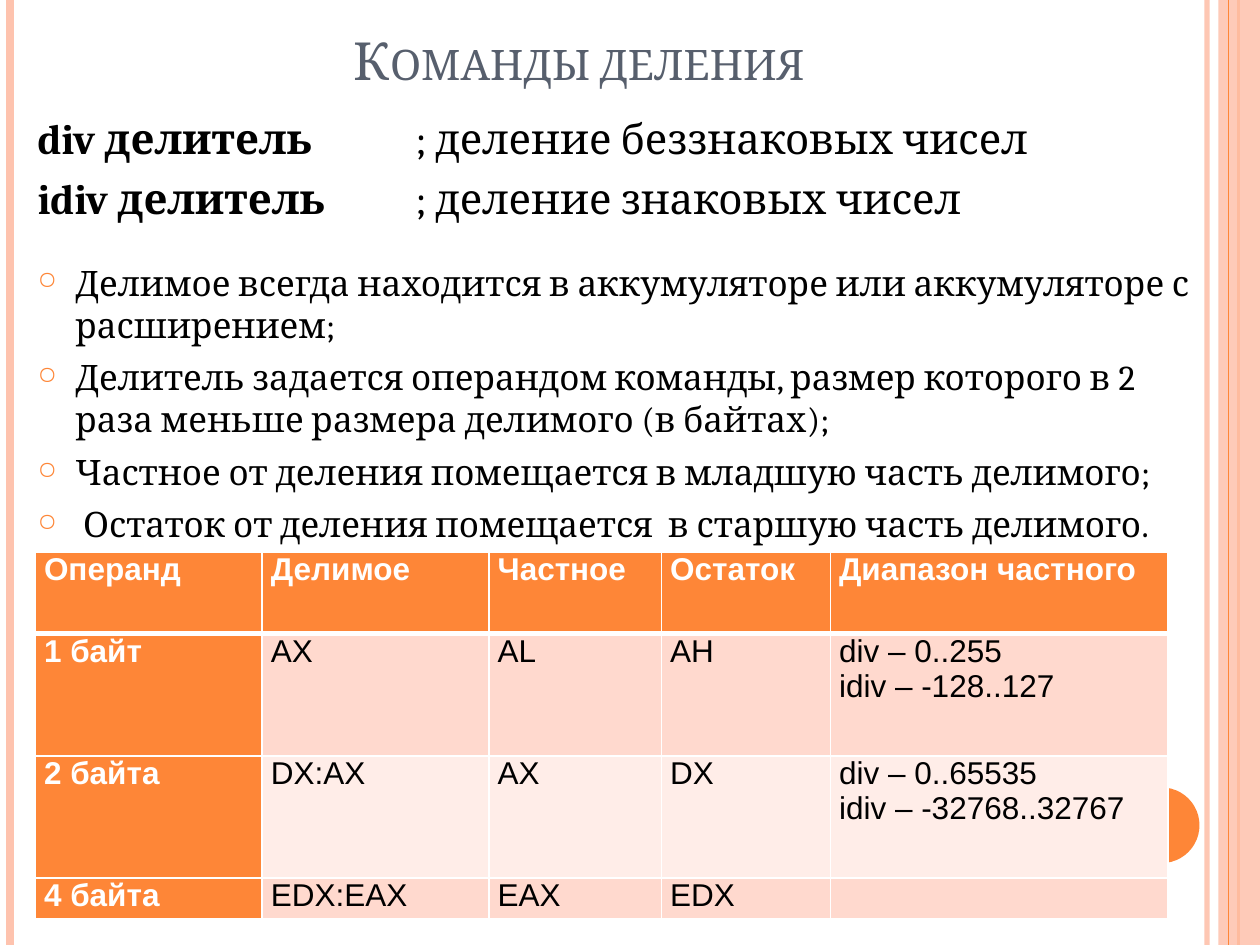
import pptx
import pptx.util
import pptx.dml.color
import pptx.enum.shapes
import pptx.enum.text
import pptx.oxml
import pptx.oxml.ns
from pptx.util import Inches

ACCENT, PALE, WHITE, BLACK = "FE8637", "FEC3AE", "FFFFFF", "000000"
SHAPES = pptx.enum.shapes.MSO_SHAPE
ALIGN = pptx.enum.text.PP_ALIGN


def color(value):
    """Turn a hex string into a colour."""
    return pptx.dml.color.RGBColor.from_string(value)


def add_xml(parent, tag, content="", **attributes):
    """Append a DrawingML element to a parent."""
    values = "".join(f' {name}="{value}"' for name, value in attributes.items())
    namespace = pptx.oxml.ns.nsdecls("a")
    parent.append(pptx.oxml.parse_xml(f"<a:{tag} {namespace}{values}>{content}</a:{tag}>"))


def set_opacity(properties, percent):
    """Make the solid colour inside an element translucent."""
    for srgb in properties.iter(pptx.oxml.ns.qn("a:srgbClr")):
        add_xml(srgb, "alpha", val=percent * 1000)


class SlideBuilder:
    """Hold the style and the current slide."""

    heading_font, table_font = "Cambria", "Arial"

    def __init__(self, slide):
        """Keep the slide to draw on."""
        self.slide = slide

    def stripe(self, x, width, line_color, opacity=100):
        """Draw a full-height vertical line."""
        line = self.slide.shapes.add_connector(
            pptx.enum.shapes.MSO_CONNECTOR.STRAIGHT,
            Inches(x), 0, Inches(x), Inches(7.5))
        line.line.color.rgb = color(line_color)
        line.line.width = pptx.util.Pt(width)
        if opacity < 100:
            set_opacity(line.line._ln, opacity)
        add_xml(line._element.spPr, "effectLst")

    def shape(self, kind, box, fill, opacity=100):
        """Draw a borderless filled shape."""
        shape = self.slide.shapes.add_shape(kind, *map(Inches, box))
        shape.shadow.inherit = False
        shape.fill.solid()
        shape.fill.fore_color.rgb = color(fill)
        shape.line.fill.background()
        if opacity < 100:
            set_opacity(shape._element.spPr, opacity)

    def text_frame(self, box, anchor):
        """Add an empty wrapping text box."""
        frame = self.slide.shapes.add_textbox(*map(Inches, box)).text_frame
        frame.word_wrap = True
        frame.vertical_anchor = anchor
        return frame

    def style(self, paragraph, name, size, text_color, bold=None):
        """Set the font of a paragraph."""
        font = paragraph.font
        font.name, font.size, font.bold = name, pptx.util.Pt(size), bold
        font.color.rgb = color(text_color)

    def title(self, box, text):
        """Add the centred small-caps title."""
        frame = self.text_frame(box, pptx.enum.text.MSO_ANCHOR.BOTTOM)
        heading = frame.paragraphs[0]
        heading.alignment = ALIGN.CENTER
        self.style(heading, self.heading_font, 30, "575F6D")
        heading._p.pPr.get_or_add_defRPr().set("cap", "small")
        heading.add_run().text = text

    def body(self, box, commands, rules):
        """Add command lines followed by bulleted rules."""
        frame = self.text_frame(box, pptx.enum.text.MSO_ANCHOR.TOP)
        for index, (command, remark) in enumerate(commands):
            line = frame.add_paragraph() if index else frame.paragraphs[0]
            line.space_before = pptx.util.Pt(6)
            add_xml(line._p.get_or_add_pPr(), "tabLst",
                    f'<a:tab pos="{Inches(3)}" algn="l"/>')
            self.style(line, self.heading_font, 24, BLACK)
            name = line.add_run()
            name.text, name.font.bold = command, True
            line.add_run().text = "\t" + remark
        for index, rule in enumerate(rules):
            bullet = frame.add_paragraph()
            bullet.space_before = pptx.util.Pt(6 if index else 21.6)
            properties = bullet._p.get_or_add_pPr()
            properties.set("marL", str(Inches(0.3)))
            properties.set("indent", str(Inches(-0.3)))
            add_xml(properties, "buClr", f'<a:srgbClr val="{ACCENT}"/>')
            add_xml(properties, "buSzPct", val=70000)
            add_xml(properties, "buChar", char="○")
            self.style(bullet, self.heading_font, 20, BLACK)
            bullet.add_run().text = rule

    def borders(self, cell, **widths):
        """Draw white borders of the given widths around a cell."""
        properties = cell._tc.get_or_add_tcPr()
        for position, side in enumerate("LRTB"):
            add_xml(properties, "ln" + side,
                    f'<a:solidFill><a:srgbClr val="{WHITE}"/></a:solidFill>',
                    w=pptx.util.Pt(widths.get(side, 1)))
            properties.insert(position, properties[-1])

    def table(self, box, widths, heights, rows):
        """Add a table with a header row, a header column and banded rows."""
        table = self.slide.shapes.add_table(
            len(rows), len(widths), *map(Inches, box)).table
        for column, width in zip(table.columns, widths):
            column.width = Inches(width)
        for row, height in zip(table.rows, heights):
            row.height = Inches(height)
        for r, values in enumerate(rows):
            for c, value in enumerate(values):
                cell = table.cell(r, c)
                header = r == 0 or c == 0
                cell.margin_left = cell.margin_right = Inches(0.07)
                cell.margin_top = cell.margin_bottom = 0
                cell.text = value
                for paragraph in cell.text_frame.paragraphs:
                    paragraph.alignment = ALIGN.JUSTIFY
                    self.style(paragraph, self.table_font, 18,
                               WHITE if header else BLACK, header)
                band = "FFD9CE" if r % 2 else "FFEDE8"
                cell.fill.solid()
                cell.fill.fore_color.rgb = color(ACCENT if header else band)
                self.borders(cell, T=3 if r == 1 else 1, B=3 if r == 0 else 1)


deck = pptx.Presentation()
deck.slide_width, deck.slide_height = Inches(10), Inches(7.5)
builder = SlideBuilder(deck.slides.add_slide(deck.slide_layouts[6]))

builder.stripe(9.58, 3, PALE, 93)
builder.stripe(0.08, 4.5, PALE)
builder.stripe(9.83, 1.5, ACCENT)
builder.shape(SHAPES.RECTANGLE, (9.67, 0, 0.33, 7.5), PALE, 87)
builder.stripe(9.75, 0.75, ACCENT)
builder.shape(SHAPES.OVAL, (8.92, 6.25, 0.6, 0.6), ACCENT)

builder.title((0.51, 0, 8.17, 0.77), "Команды деления")
builder.body(
    (0.2, 0.84, 9.37, 3.62),
    [("div делитель", "; деление беззнаковых чисел"),
     ("idiv делитель", "; деление знаковых чисел")],
    ["Делимое всегда находится в аккумуляторе или аккумуляторе с расширением;",
     "Делитель задается операндом команды, размер которого в 2 раза меньше "
     "размера делимого (в байтах);",
     "Частное от деления помещается в младшую часть делимого;",
     " Остаток от деления помещается  в старшую часть делимого."])
builder.table(
    (0.28, 4.38, 8.98, 2.91),
    [1.8, 1.8, 1.37, 1.34, 2.68],
    [0.65, 0.97, 0.97, 0.32],
    [["Операнд", "Делимое", "Частное", "Остаток", "Диапазон частного"],
     ["1 байт", "AX", "AL", "AH", "div – 0..255\nidiv – -128..127"],
     ["2 байта", "DX:AX", "AX", "DX", "div – 0..65535\nidiv – -32768..32767"],
     ["4 байта", "EDX:EAX", "EAX", "EDX", ""]])

deck.save("out.pptx")
